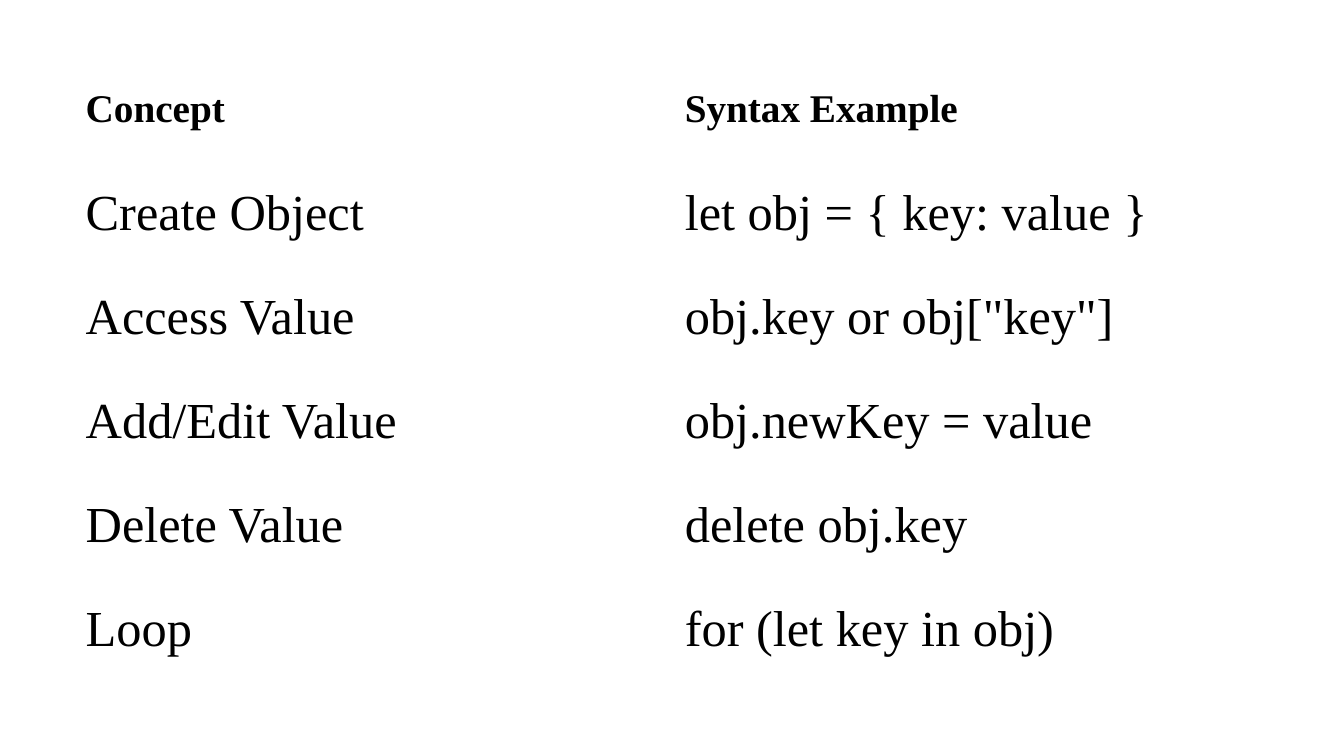
from pptx import Presentation
from pptx.dml.color import RGBColor
from pptx.enum.text import MSO_ANCHOR
from pptx.util import Pt


def color(code):
    return RGBColor.from_string(code)


deck = Presentation()
deck.slide_width, deck.slide_height = Pt(960), Pt(540)
slide = deck.slides.add_slide(deck.slide_layouts[6])

rows = [
    ("Concept", "Syntax Example"),
    ("Create Object", "let obj = { key: value }"),
    ("Access Value", 'obj.key or obj["key"]'),
    ("Add/Edit Value", "obj.newKey = value"),
    ("Delete Value", "delete obj.key"),
    ("Loop", "for (let key in obj)"),
]
head = {"name": "Times New Roman", "size": Pt(28), "bold": True}
body = {"name": "Times New Roman", "size": Pt(36), "bold": False}

frame = slide.shapes.add_table(
    len(rows), 2, Pt(54), Pt(41), Pt(856), Pt(445.8))
table = frame.table
table.horz_banding = False
table.first_row = False

for r, row in enumerate(rows):
    for c, text in enumerate(row):
        cell = table.cell(r, c)
        cell.fill.solid()
        cell.fill.fore_color.rgb = color("FFFFFF")
        cell.vertical_anchor = MSO_ANCHOR.MIDDLE
        run = cell.text_frame.paragraphs[0].add_run()
        run.text = text
        run.font.color.rgb = color("000000")
        for key, value in (body if r else head).items():
            setattr(run.font, key, value)

deck.save("out.pptx")
